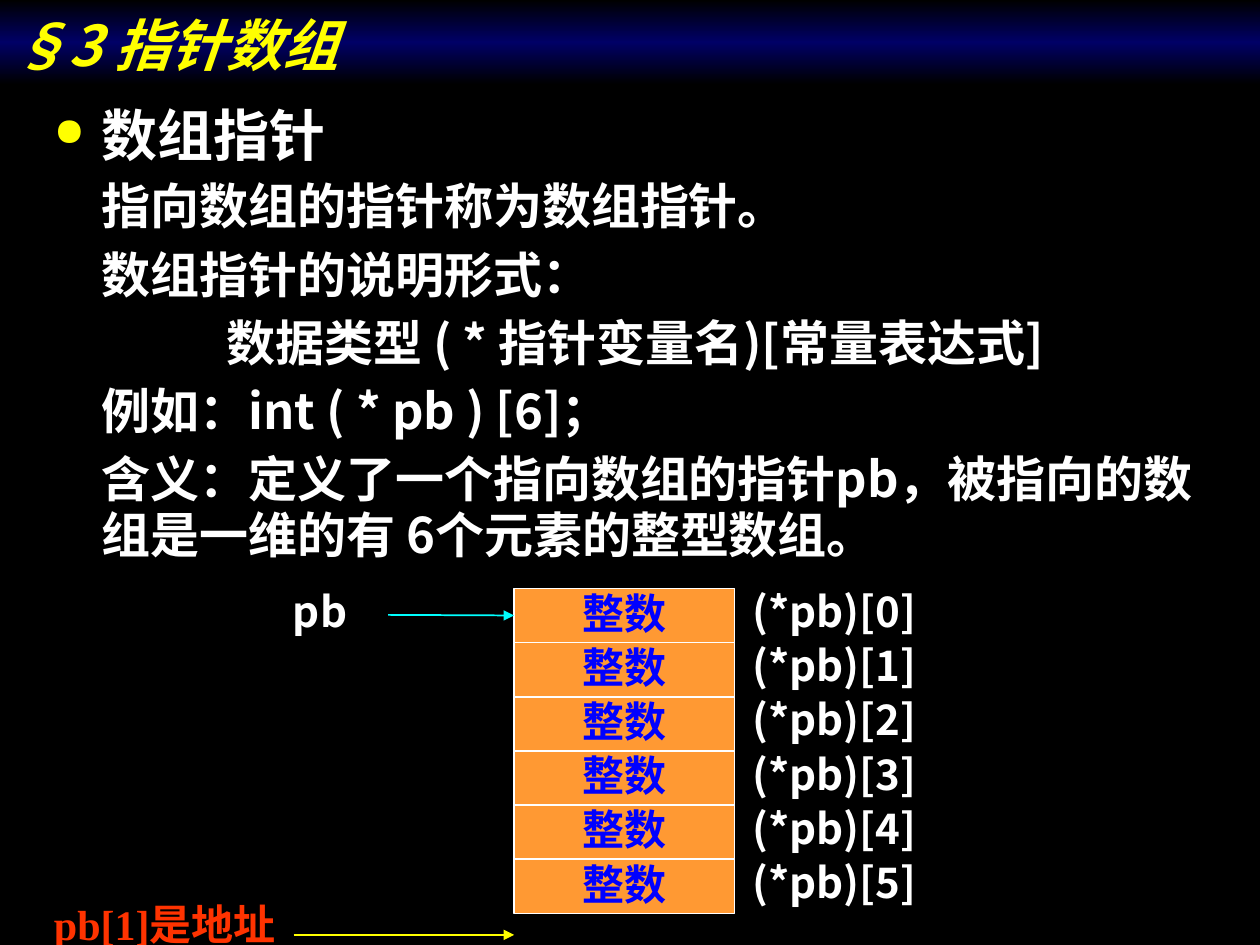
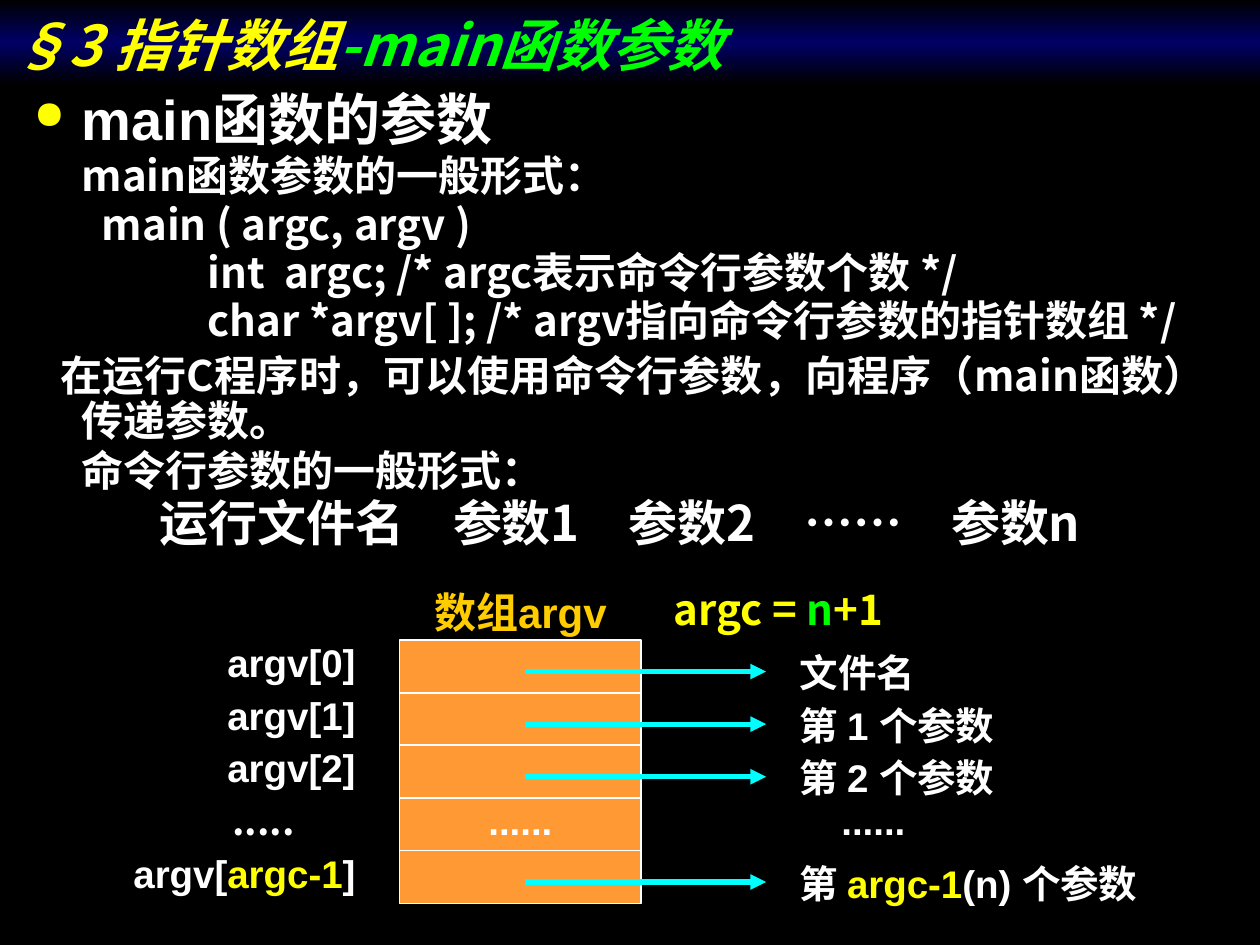
from pptx import Presentation
from pptx.dml.color import RGBColor
from pptx.enum.shapes import MSO_CONNECTOR as CONNECTOR, MSO_SHAPE as SHAPE
from pptx.enum.text import MSO_ANCHOR as ANCHOR, MSO_AUTO_SIZE as AUTO_SIZE, PP_ALIGN as ALIGN
from pptx.oxml import parse_xml
from pptx.oxml.ns import nsdecls
from pptx.util import Inches, Pt

COLORS = {
    "black": "000000", "navy": "000066", "white": "FFFFFF", "yellow": "FFFF00",
    "green": "00FF00", "cyan": "00FFFF", "orange": "FF9933", "gold": "FFCC00",
    "blue": "0000FF", "red": "FF3300",
}
NOTO, ARIAL, TIMES = "Noto Sans CJK SC", "Arial", "Times New Roman"


def add_text(shape, text, size=24, color="white", font=NOTO, italic=False, align=ALIGN.LEFT,
             anchor=ANCHOR.TOP, wrap=True, line=1.0, before=0, margin=0, indent=0,
             bullet=False, tab=None):
    frame = shape.text_frame
    frame.word_wrap = wrap
    frame.auto_size = AUTO_SIZE.NONE
    frame.vertical_anchor = anchor
    paragraph = frame.add_paragraph() if frame.text else frame.paragraphs[0]
    properties = paragraph._p.get_or_add_pPr()
    properties.set("marL", str(Inches(margin)))
    properties.set("indent", str(Inches(indent)))
    if bullet:
        for element in (f'<a:buClr {nsdecls("a")}><a:srgbClr val="{COLORS["yellow"]}"/></a:buClr>',
                        f'<a:buSzPct {nsdecls("a")} val="70000"/>',
                        f'<a:buChar {nsdecls("a")} char="●"/>'):
            properties.append(parse_xml(element))
    if tab:
        properties.append(parse_xml(
            f'<a:tabLst {nsdecls("a")}><a:tab pos="{Inches(tab)}" algn="l"/></a:tabLst>'))
    paragraph.alignment = align
    paragraph.line_spacing = line
    paragraph.space_before = Pt(before)
    runs = [(text, {})] if isinstance(text, str) else text
    for words, changes in runs:
        run = paragraph.add_run()
        run.text = words
        run.font.size = Pt(size)
        run.font.bold = True
        run.font.italic = italic
        run.font.color.rgb = RGBColor.from_string(COLORS[changes.get("color", color)])
        run.font.name = changes.get("font", font)
        run._r.get_or_add_rPr().append(parse_xml(f'<a:ea {nsdecls("a")} typeface="{NOTO}"/>'))


def add_arrow(slide, left, right, y, color, width):
    arrow = slide.shapes.add_connector(
        CONNECTOR.STRAIGHT, Inches(left), Inches(y), Inches(right), Inches(y))
    arrow.line.color.rgb = RGBColor.from_string(COLORS[color])
    arrow.line.width = Pt(width)
    arrow.line._get_or_add_ln().append(parse_xml(f'<a:tailEnd {nsdecls("a")} type="triangle"/>'))
    arrow._element.spPr.append(parse_xml(f'<a:effectLst {nsdecls("a")}/>'))
    return arrow


presentation = Presentation()
presentation.slide_width = Inches(10)
presentation.slide_height = Inches(7.5)

heading = ("§3 指针数组", {})
slides = []
for title_runs in ([heading], [heading, ("-main函数参数", {"color": "green"})]):
    slide = presentation.slides.add_slide(presentation.slide_layouts[5])
    slide.background.fill.solid()
    slide.background.fill.fore_color.rgb = RGBColor.from_string(COLORS["black"])
    title = slide.shapes.title
    title.left, title.top, title.width, title.height = Inches(0), Inches(0), Inches(10), Inches(0.67)
    stops = "".join(
        f'<a:gs pos="{position}"><a:srgbClr val="{COLORS[color]}"/></a:gs>'
        for position, color in ((0, "black"), (50000, "navy"), (100000, "black")))
    title._element.spPr.append(parse_xml(
        f'<a:gradFill {nsdecls("a")} rotWithShape="1"><a:gsLst>{stops}</a:gsLst>'
        '<a:lin ang="5400000" scaled="1"/></a:gradFill>'))
    add_text(title, title_runs, size=32, color="yellow", italic=True, anchor=ANCHOR.BOTTOM)
    slides.append(slide)
pointer_slide, main_slide = slides

body = pointer_slide.shapes.add_textbox(Inches(0.33), Inches(0.75), Inches(9.42), Inches(3.85))
add_text(body, "数组指针", size=32, margin=0.38, indent=-0.38, bullet=True)
for text, format_changes in (
    ("指向数组的指针称为数组指针。", {}),
    ("数组指针的说明形式：", {}),
    ("数据类型 ( * 指针变量名)[常量表达式]", {"align": ALIGN.CENTER, "indent": -0.38}),
    ("例如：int ( * pb ) [6]；", {}),
    ("含义：定义了一个指向数组的指针pb，被指向的数组是一维的有 6个元素的整型数组。", {}),
):
    add_text(body, text, size=28, line=0.95, before=7, margin=0.38, **format_changes)

centered = {"align": ALIGN.CENTER, "anchor": ANCHOR.MIDDLE, "wrap": False}
cells = []
for index in range(6):
    top = Inches(4.67 + 0.43 * index)
    cell = pointer_slide.shapes.add_shape(SHAPE.RECTANGLE, Inches(4.08), top, Inches(1.75), Inches(0.43))
    add_text(cell, "整数", color="blue", font=ARIAL, line=0.9, **centered)
    cells.append(cell)
    label = pointer_slide.shapes.add_textbox(Inches(6.08), top, Inches(1.08), Inches(0.43))
    add_text(label, f"(*pb)[{index}]", line=0.8, **centered)

pointer_label = pointer_slide.shapes.add_textbox(Inches(2.08), Inches(4.67), Inches(0.92), Inches(0.43))
add_text(pointer_label, "pb", line=0.8, **centered)
add_arrow(pointer_slide, 3.08, 4.08, 4.88, "cyan", 1).end_connect(cells[0], 1)
address_label = pointer_slide.shapes.add_textbox(Inches(0.33), Inches(7.08), Inches(2.25), Inches(0.5))
add_text(address_label, "pb[1]是地址", color="red", font=TIMES)
add_arrow(pointer_slide, 2.33, 4.08, 7.42, "yellow", 0.75)

body = main_slide.shapes.add_textbox(Inches(0.17), Inches(0.75), Inches(9.5), Inches(4.17))
add_text(body, "main函数的参数", size=32, font=ARIAL, line=0.75, margin=0.38, indent=-0.38, bullet=True)
for text, format_changes in (
    ("main函数参数的一般形式：", {"margin": 0.38}),
    ("main ( argc, argv )", {"margin": 0.54}),
    ("int  argc;\t/* argc表示命令行参数个数 */", {"margin": 1.38, "tab": 2.23}),
    ("char *argv[ ]; /* argv指向命令行参数的指针数组 */", {"margin": 1.38}),
    ("在运行C程序时，可以使用命令行参数，向程序（main函数）传递参数。",
     {"margin": 0.38, "indent": -0.17, "line": 0.9, "align": ALIGN.JUSTIFY}),
    ("命令行参数的一般形式：", {"margin": 0.38}),
    ([("运行文件名　参数1　参数2　", {}), ("……", {"font": ARIAL}), ("　参数n", {})],
     {"margin": 0.38, "indent": -0.38, "size": 28, "before": 7, "align": ALIGN.CENTER}),
):
    add_text(body, text, **{"line": 0.75, "before": 6, **format_changes})

small = {"size": 22, "line": 0.8, "anchor": ANCHOR.MIDDLE, "wrap": False}
last_index = ("argc-1", {"color": "yellow"})
rows = (
    ("argv[0]", "文件名"),
    ("argv[1]", "第 1 个参数"),
    ("argv[2]", "第 2 个参数"),
    (".....", "......"),
    ([("argv[", {}), last_index, ("]", {})], [("第 ", {}), last_index, ("(n) 个参数", {})]),
)
for index, (name, meaning) in enumerate(rows):
    top = 5.08 + 0.4175 * index
    skipped = name == "....."
    cell = main_slide.shapes.add_shape(
        SHAPE.RECTANGLE, Inches(3.17), Inches(top), Inches(1.92), Inches(0.42))
    cells.append(cell)
    name_box = main_slide.shapes.add_textbox(
        Inches(1.13 if skipped else 1), Inches(top), Inches(1.92), Inches(0.42))
    add_text(name_box, name, font=NOTO if skipped else ARIAL,
             align=ALIGN.CENTER if skipped else ALIGN.RIGHT, **small)
    meaning_box = main_slide.shapes.add_textbox(
        Inches(6.58 if skipped else 6.25), Inches(top if skipped else top + 0.08),
        Inches(1.5 if skipped else 3), Inches(0.42))
    add_text(meaning_box, meaning, font=ARIAL, **small)
    if skipped:
        add_text(cell, "......", font=ARIAL, align=ALIGN.CENTER, **small)
    else:
        add_arrow(main_slide, 4.17, 6.08, top + 0.25, "cyan", 3)

for cell in cells:
    cell.shadow.inherit = False
    cell.fill.solid()
    cell.fill.fore_color.rgb = RGBColor.from_string(COLORS["orange"])
    cell.line.color.rgb = RGBColor.from_string(COLORS["white"])
    cell.line.width = Pt(1)

array_label = main_slide.shapes.add_textbox(Inches(3.17), Inches(4.67), Inches(1.92), Inches(0.42))
add_text(array_label, "数组argv", color="gold", font=ARIAL, line=0.9, **centered)
count_label = main_slide.shapes.add_textbox(Inches(5.25), Inches(4.58), Inches(2.25), Inches(0.5))
add_text(count_label, [("argc = ", {}), ("n", {"color": "green"}), ("+1", {})], color="yellow")

presentation.save("out.pptx")
